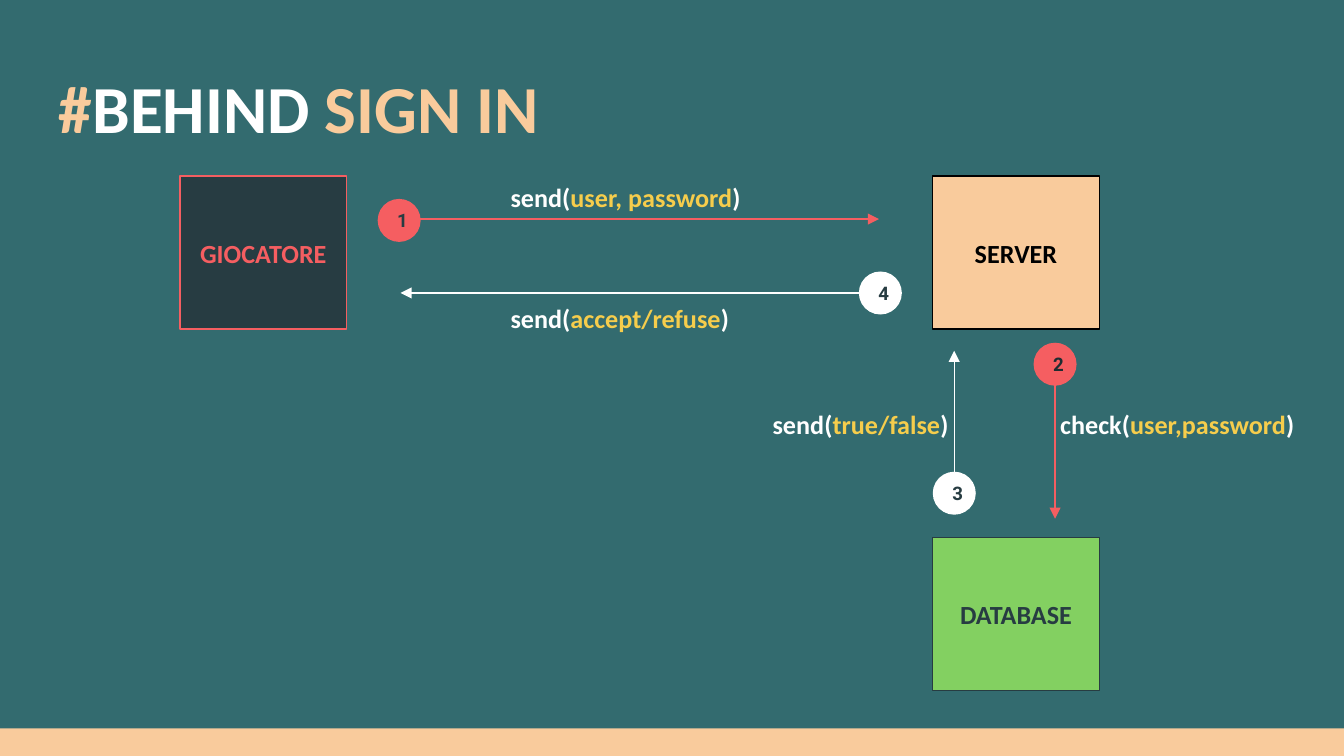
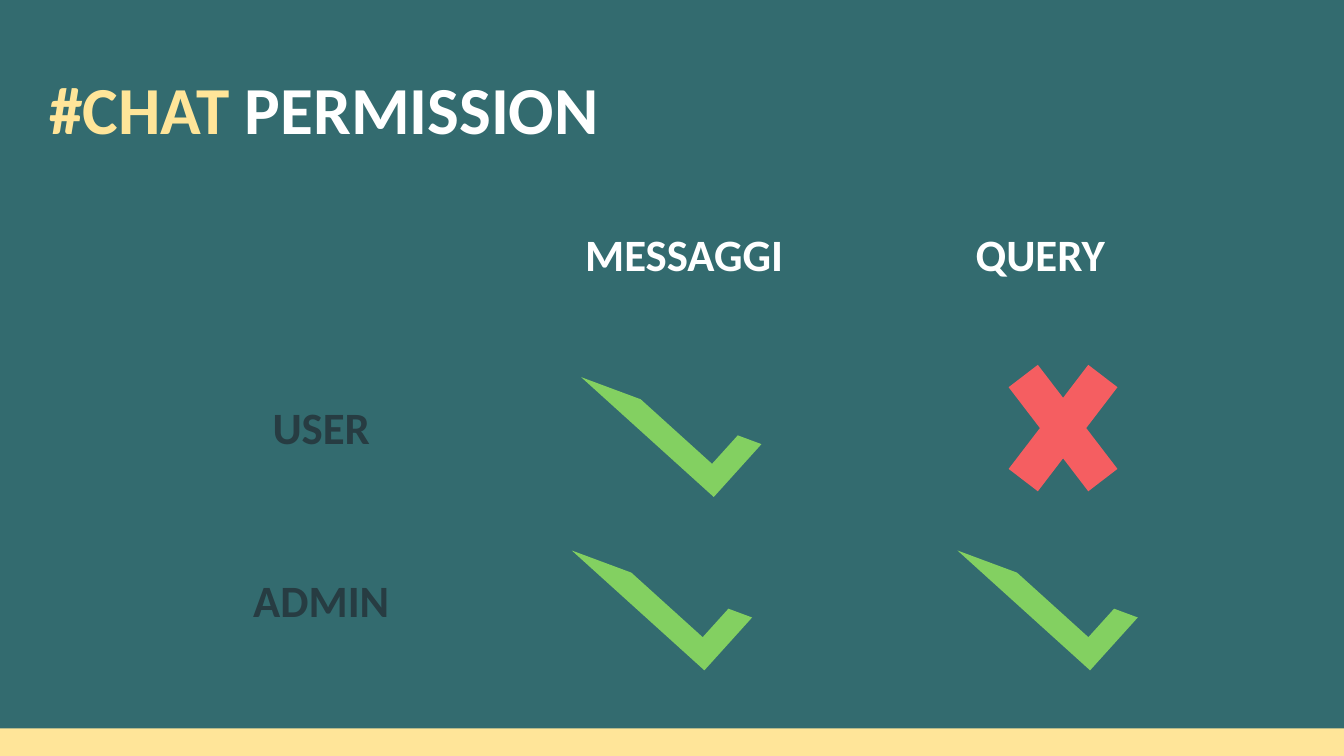
from typing import NamedTuple

from lxml import etree
from pptx import Presentation, util as u
from pptx.dml.color import RGBColor
from pptx.enum import shapes as sh, text as tx
from pptx.oxml import ns

WIDE = 10
HIGH = WIDE * 9 / 16
BAND = 5.42
TEAL, NAVY, INK = "336B6F", "273C42", "1E2D31"
PEACH, CREAM, GOLD = "F9CB9C", "FFE599", "F6CD4C"
RED, GREEN, WHITE, BLACK = "F55E61", "83D061", "FFFFFF", "000000"
SIDE = (1.24, 1.14)
DOT = 0.32
PAD = u.Inches(0.1)

Run = tuple[str, str]


class Node(NamedTuple):
    name: str
    x: float
    y: float
    fill: str
    edge: str
    ink: str


class Step(NamedTuple):
    num: str
    x1: float
    y1: float
    x2: float
    y2: float
    tip: str
    hue: str
    dot: tuple[float, float]
    ink: str = NAVY


class Call(NamedTuple):
    verb: str
    args: str
    x: float
    y: float
    w: float
    h: float


NODES = [
    Node("GIOCATORE", 1.34, 1.31, NAVY, RED, RED),
    Node("SERVER", 6.94, 1.31, PEACH, BLACK, BLACK),
    Node("DATABASE", 6.94, 4, GREEN, NAVY, NAVY),
]
STEPS = [
    Step("1", 2.98, 1.63, 6.54, 1.63, "tail", RED, (2.81, 1.48)),
    Step("2", 7.85, 2.68, 7.85, 3.86, "tail", RED, (7.69, 2.55), INK),
    Step("3", 7.1, 2.61, 7.1, 3.79, "head", WHITE, (6.94, 3.51)),
    Step("4", 2.98, 2.18, 6.54, 2.18, "head", WHITE, (6.39, 2.02)),
]
CALLS = [
    Call("send", "user, password", 3.7, 1.25, 2.11, 0.32),
    Call("send", "accept/refuse", 3.7, 2.15, 2.11, 0.32),
    Call("send", "true/false", 5.65, 2.94, 1.61, 0.3),
    Call("check", "user,password", 7.79, 2.94, 2, 0.3),
]
GRID = [["", "MESSAGGI", "QUERY"], ["USER", "", ""], ["ADMIN", "", ""]]
COLS = [2.7, 2.7, 2.6]
ROW = 1.29
TICKS = [(4.33, 2.79), (4.26, 4.08), (7.13, 4.08)]


def rgb(hue: str) -> RGBColor:
    return RGBColor.from_string(hue)


def area(x: float, y: float, w: float, h: float) -> list[u.Length]:
    return [u.Inches(v) for v in (x, y, w, h)]


def write(frame, runs: list[Run], size: float, font: str = "Calibri",
          align=tx.PP_ALIGN.LEFT):
    """Fill the first paragraph with bold coloured runs and return it."""
    frame.word_wrap = True
    frame.margin_left = frame.margin_right = PAD
    frame.margin_top = frame.margin_bottom = PAD
    par = frame.paragraphs[0]
    par.alignment = align
    for words, hue in runs:
        run = par.add_run()
        run.text = words
        run.font.name, run.font.size, run.font.bold = font, u.Pt(size), True
        run.font.color.rgb = rgb(hue)
    return par


def label(slide, box: list[u.Length], runs: list[Run], size: float):
    return write(slide.shapes.add_textbox(*box).text_frame, runs, size)


def block(slide, kind, box: list[u.Length], fill: str, edge: str = ""):
    shape = slide.shapes.add_shape(kind, *box)
    shape.shadow.inherit = False
    shape.fill.solid()
    shape.fill.fore_color.rgb = rgb(fill)
    if edge:
        shape.line.color.rgb = rgb(edge)
        shape.line.width = u.Pt(0.75)
    else:
        shape.line.fill.background()
    shape.text_frame.vertical_anchor = tx.MSO_ANCHOR.MIDDLE
    return shape


def arrow(slide, step: Step) -> None:
    ends = area(step.x1, step.y1, step.x2, step.y2)
    line = slide.shapes.add_connector(sh.MSO_CONNECTOR.STRAIGHT, *ends)
    line.line.color.rgb = rgb(step.hue)
    line.line.width = u.Pt(0.75)
    props = line._element.spPr
    tip = etree.SubElement(props.find(ns.qn("a:ln")),
                           ns.qn(f"a:{step.tip}End"))
    tip.set("type", "triangle")
    etree.SubElement(props, ns.qn("a:effectLst"))


def start(deck, title: list[Run], x: float, y: float, band: str):
    """Add a slide with the shared ground, footer band and title."""
    slide = deck.slides.add_slide(deck.slide_layouts[6])
    slide.background.fill.solid()
    slide.background.fill.fore_color.rgb = rgb(TEAL)
    block(slide, sh.MSO_SHAPE.RECTANGLE,
          area(0, BAND, WIDE, HIGH - BAND), band)
    par = label(slide, area(x, y, 9.32, 0.68), title, 36)
    par.line_spacing, par.space_after = 1.15, u.Pt(16)
    return slide


def sign_in(deck) -> None:
    title = [("#", PEACH), ("BEHIND ", WHITE), ("SIGN IN", PEACH)]
    slide = start(deck, title, 0.34, 0.3, PEACH)
    for node in NODES:
        shape = block(slide, sh.MSO_SHAPE.RECTANGLE,
                      area(node.x, node.y, *SIDE), node.fill, node.edge)
        write(shape.text_frame, [(node.name, node.ink)], 14,
              align=tx.PP_ALIGN.CENTER)
    for call in CALLS:
        runs = [(call.verb + "(", WHITE), (call.args, GOLD), (")", WHITE)]
        label(slide, area(call.x, call.y, call.w, call.h), runs, 14)
    for step in STEPS:
        arrow(slide, step)
        dot = block(slide, sh.MSO_SHAPE.FLOWCHART_CONNECTOR,
                    area(*step.dot, DOT, DOT), step.hue)
        write(dot.text_frame, [(step.num, step.ink)], 10, "Roboto")


def bare(cell) -> None:
    """Drop the cell borders and give the cell the slide's ground colour."""
    props = cell._tc.get_or_add_tcPr()
    for side in "LRTB":
        edge = etree.SubElement(props, ns.qn(f"a:ln{side}"))
        etree.SubElement(edge, ns.qn("a:noFill"))
    cell.fill.solid()
    cell.fill.fore_color.rgb = rgb(TEAL)


def rights(slide) -> None:
    box = area(1.04, 1.26, sum(COLS), ROW * len(GRID))
    table = slide.shapes.add_table(len(GRID), len(COLS), *box).table
    table.first_row = table.horz_banding = False
    for col, wide in zip(table.columns, COLS):
        col.width = u.Inches(wide)
    for i, names in enumerate(GRID):
        table.rows[i].height = u.Inches(ROW)
        for j, name in enumerate(names):
            cell = table.cell(i, j)
            bare(cell)
            if name:
                cell.vertical_anchor = tx.MSO_ANCHOR.MIDDLE
                cell.margin_left = cell.margin_right = PAD
                cell.margin_top = cell.margin_bottom = PAD
                write(cell.text_frame, [(name, NAVY if i else WHITE)], 24,
                      align=tx.PP_ALIGN.CENTER)


def chat(deck) -> None:
    title = [("#CHAT ", CREAM), ("PERMISSION", WHITE)]
    slide = start(deck, title, 0.27, 0.31, CREAM)
    rights(slide)
    for x, y in TICKS:
        tick = block(slide, sh.MSO_SHAPE.HALF_FRAME,
                     area(x, y, 1.33, 0.53), GREEN)
        tick.adjustments[0] = tick.adjustments[1] = 0.33
        tick.rotation = 222.1
    cross = block(slide, sh.MSO_SHAPE.MATH_MULTIPLY,
                  area(7.34, 2.44, 1.14, 1.49), RED)
    cross.adjustments[0] = 0.24


def main() -> None:
    deck = Presentation()
    deck.slide_width, deck.slide_height = u.Inches(WIDE), u.Inches(HIGH)
    sign_in(deck)
    chat(deck)
    deck.save("out.pptx")


if __name__ == "__main__":
    main()
